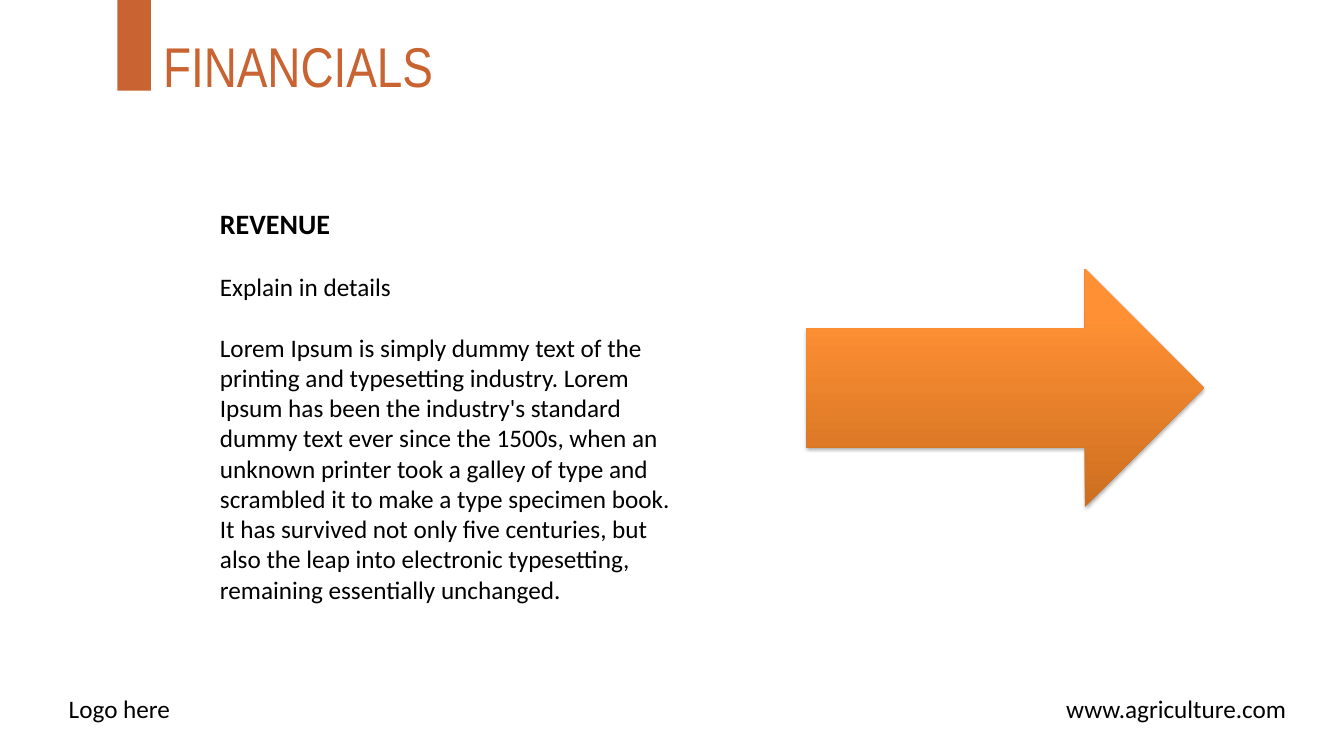
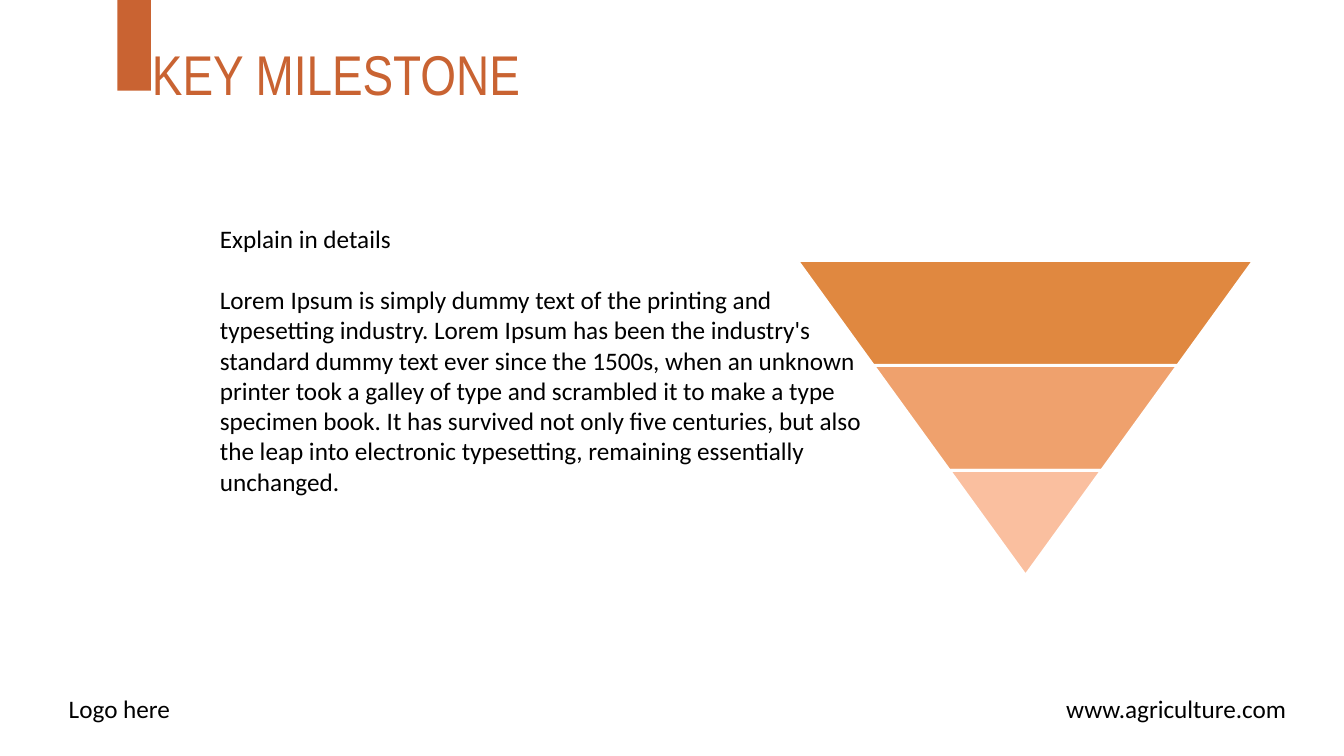
from lxml import etree
from pptx import Presentation
from pptx.dml.color import RGBColor
from pptx.enum.shapes import MSO_SHAPE
from pptx.enum.text import MSO_ANCHOR, MSO_AUTO_SIZE, PP_ALIGN
from pptx.oxml import parse_xml
from pptx.oxml.ns import nsdecls
from pptx.util import Pt

RECTANGLE = MSO_SHAPE.RECTANGLE
RIGHT_ARROW = MSO_SHAPE.RIGHT_ARROW
TRAPEZOID = MSO_SHAPE.TRAPEZOID
MIDDLE = MSO_ANCHOR.MIDDLE
NO_FIT = MSO_AUTO_SIZE.NONE
CENTER = PP_ALIGN.CENTER

RUST = RGBColor(0xC9, 0x63, 0x32)
BLACK = RGBColor(0x00, 0x00, 0x00)
WHITE = RGBColor(0xFF, 0xFF, 0xFF)
ARROW_STOPS = [
    (0, RGBColor(0xCC, 0x6E, 0x20)),
    (80, RGBColor(0xFF, 0x90, 0x34)),
    (100, RGBColor(0xFF, 0x91, 0x36)),
]
FUNNEL_COLORS = [
    RGBColor(0xE0, 0x88, 0x40),
    RGBColor(0xEF, 0xA1, 0x6D),
    RGBColor(0xFA, 0xBF, 0x9F),
]

TITLE_FONT = "Arial Narrow"
BODY_FONT = "Calibri"
BODY_SIZE = 18
PARA_GAP = 22
TITLE_ONLY = 5

DETAILS = [
    ("Explain in details", {}),
    (
        "Lorem Ipsum is simply dummy text of the printing and typesetting industry. "
        "Lorem Ipsum has been the industry's standard dummy text ever since the 1500s, "
        "when an unknown printer took a galley of type and scrambled it to make a type "
        "specimen book. It has survived not only five centuries, but also the leap into "
        "electronic typesetting, remaining essentially unchanged.",
        {},
    ),
]
REVENUE = [("REVENUE", {"size": 20, "bold": True})] + DETAILS


def write_text(para, text, font=BODY_FONT, size=BODY_SIZE, color=BLACK,
               bold=False, align=None, before=0):
    para.alignment = align
    para.space_before = Pt(before)
    span = para.add_run()
    span.text = text
    span.font.name = font
    span.font.size = Pt(size)
    span.font.bold = bold
    span.font.color.rgb = color


def add_block(page, box, paragraphs, wrap=True):
    frame = page.shapes.add_textbox(*map(Pt, box)).text_frame
    frame.word_wrap = wrap
    for index, (text, style) in enumerate(paragraphs):
        para = frame.add_paragraph() if index else frame.paragraphs[0]
        write_text(para, text, before=PARA_GAP if index else 0, **style)


def add_figure(page, preset, box, color, outline=None):
    figure = page.shapes.add_shape(preset, *map(Pt, box))
    figure.shadow.inherit = False
    figure.fill.solid()
    figure.fill.fore_color.rgb = color
    if outline is None:
        figure.line.fill.background()
    else:
        figure.line.color.rgb = outline
        figure.line.width = Pt(2)
    return figure


def add_page(deck, title, title_box):
    page = deck.slides.add_slide(deck.slide_layouts[TITLE_ONLY])
    heading = page.shapes.title
    heading.left, heading.top, heading.width, heading.height = map(Pt, title_box)
    frame = heading.text_frame
    frame.auto_size = NO_FIT
    frame.vertical_anchor = MIDDLE
    write_text(frame.paragraphs[0], title, font=TITLE_FONT, size=40,
               color=RUST, align=CENTER)
    add_block(page, (754.5, 492, 173.5, 29), [("www.agriculture.com", {})], wrap=False)
    add_block(page, (42, 492, 88, 29), [("Logo here", {})], wrap=False)
    add_figure(page, RECTANGLE, (83.75, -6, 24, 70.75), RUST)
    return page


def add_arrow(page, box):
    arrow = add_figure(page, RIGHT_ARROW, box, ARROW_STOPS[-1][1])
    properties = arrow.fill._xPr
    stops = "".join(
        f'<a:gs pos="{position * 1000}"><a:srgbClr val="{color}"/></a:gs>'
        for position, color in ARROW_STOPS
    )
    gradient = parse_xml(
        f'<a:gradFill {nsdecls("a")} rotWithShape="1"><a:gsLst>{stops}</a:gsLst>'
        '<a:lin ang="16200000" scaled="0"/></a:gradFill>'
    )
    properties.replace(properties.find("{*}solidFill"), gradient)
    shadow = etree.SubElement(
        properties.find("{*}effectLst"),
        etree.QName(gradient, "outerShdw"),
        blurRad=str(Pt(3.1)), dist=str(Pt(1.8)), dir="5400000", rotWithShape="0",
    )
    color = etree.SubElement(shadow, etree.QName(gradient, "srgbClr"), val=str(BLACK))
    etree.SubElement(color, etree.QName(gradient, "alpha"), val="35000")


def add_funnel(page, box):
    left, top, width, height = box
    count = len(FUNNEL_COLORS)
    tier_height = height / count
    inset = width / (2 * count)
    for index, color in enumerate(FUNNEL_COLORS):
        tier_box = (left + index * inset, top + index * tier_height,
                    width - 2 * index * inset, tier_height)
        tier = add_figure(page, TRAPEZOID, tier_box, color, outline=WHITE)
        tier.adjustments[0] = inset / tier_height
        tier.rotation = 180


def build_financials(deck):
    page = add_page(deck, "FINANCIALS", (108, 12, 210, 68.5))
    add_block(page, (150, 144, 342, 293), REVENUE)
    add_arrow(page, (576, 192, 284, 170))


def build_milestone(deck):
    page = add_page(deck, "KEY MILESTONE", (24, 18, 432, 68.5))
    add_block(page, (150, 156, 479.5, 204), DETAILS)
    add_funnel(page, (569.5, 186, 326, 225))


def main():
    deck = Presentation()
    deck.slide_width, deck.slide_height = Pt(960), Pt(540)
    build_financials(deck)
    build_milestone(deck)
    deck.save("out.pptx")


if __name__ == "__main__":
    main()
